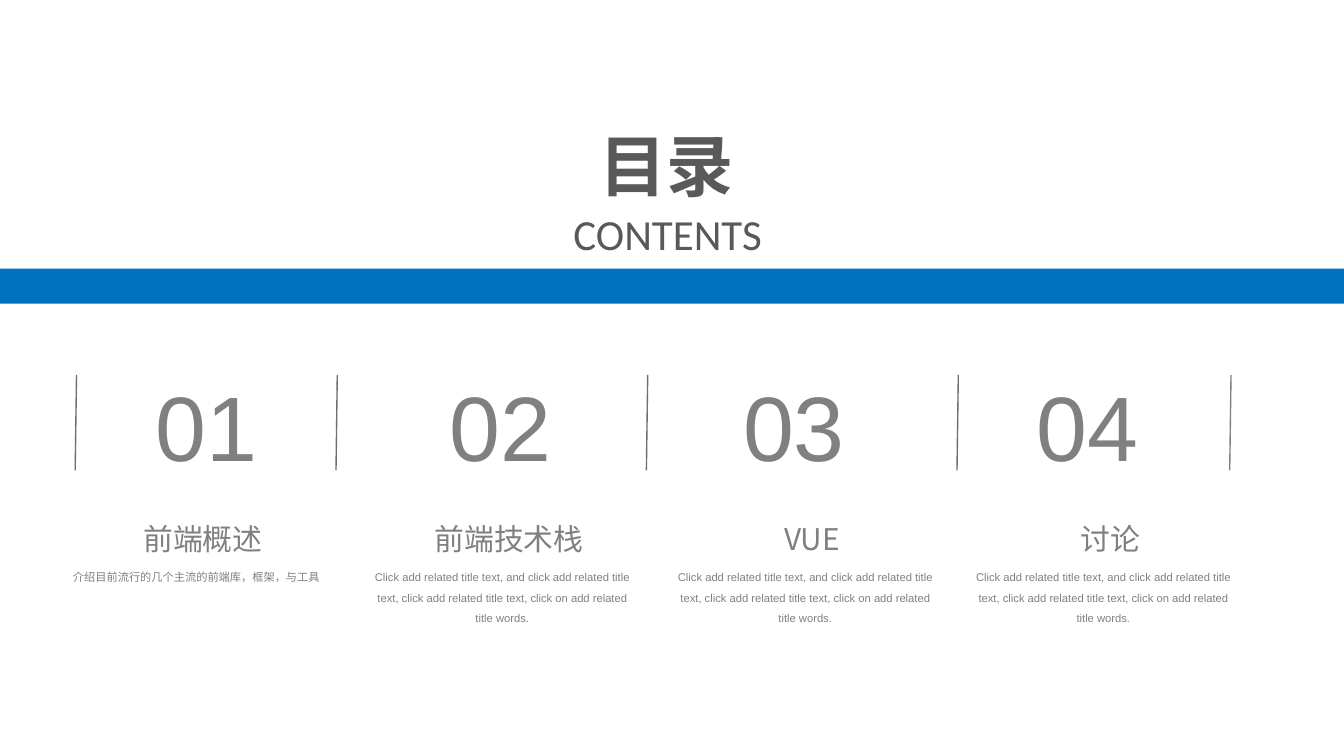
"""Build a contents slide with four numbered sections."""
from lxml.etree import SubElement
from pptx import Presentation
from pptx.dml.color import RGBColor
from pptx.enum.shapes import MSO_CONNECTOR, MSO_SHAPE
from pptx.enum.text import MSO_ANCHOR, MSO_AUTO_SIZE, PP_ALIGN
from pptx.oxml.ns import qn
from pptx.util import Pt

BLUE = RGBColor(0x00, 0x70, 0xC0)
DARK = RGBColor(0x59, 0x59, 0x59)
GRAY = RGBColor(0x80, 0x80, 0x80)
RULE = RGBColor(0x6E, 0x6E, 0x6E)
LATIN, HAN = "Arial", "Noto Sans CJK SC"

FILLER = ("Click add related title text, and click add related title text, "
          "click add related title text, click on add related title words.")
SECTIONS = [
    ("前端概述", "介绍目前流行的几个主流的前端库，框架，与工具", 31),
    ("前端技术栈", FILLER, 195),
    ("VUE", FILLER, 357.3),
    ("讨论", FILLER, 517),
]
DIVIDERS = [(41, RULE), (180.7, RULE), (347, RULE), (513.4, RULE), (659.5, GRAY)]


def write_text(frame, text, size, font=LATIN, color=GRAY, bold=False,
               align=PP_ALIGN.CENTER, spacing=1.0, wrap=True):
    frame.word_wrap = wrap
    frame.auto_size = MSO_AUTO_SIZE.SHAPE_TO_FIT_TEXT
    frame.vertical_anchor = MSO_ANCHOR.TOP
    frame.margin_left = frame.margin_right = Pt(5.2)
    frame.margin_top = frame.margin_bottom = Pt(2.6)
    paragraph = frame.paragraphs[0]
    paragraph.alignment = align
    paragraph.line_spacing = spacing
    paragraph.space_before = Pt(0)
    run = paragraph.add_run()
    run.text = text
    run.font.size = Pt(size)
    run.font.name = font
    run.font.bold = bold
    run.font.color.rgb = color
    SubElement(run.font._element, qn("a:ea"), typeface=HAN)


class ContentsSlide:
    def __init__(self, deck):
        self.slide = deck.slides.add_slide(deck.slide_layouts[5])

    def title(self, text, left, top, width, height, **style):
        heading = self.slide.shapes.title
        heading.left, heading.top = Pt(left), Pt(top)
        heading.width, heading.height = Pt(width), Pt(height)
        write_text(heading.text_frame, text, **style)

    def text(self, text, left, top, width, height, **style):
        box = self.slide.shapes.add_textbox(Pt(left), Pt(top), Pt(width), Pt(height))
        write_text(box.text_frame, text, **style)

    def band(self, left, top, width, height, color):
        bar = self.slide.shapes.add_shape(
            MSO_SHAPE.RECTANGLE, Pt(left), Pt(top), Pt(width), Pt(height))
        bar.shadow.inherit = False
        bar.fill.solid()
        bar.fill.fore_color.rgb = color
        bar.line.fill.background()

    def divider(self, left, top, bottom, color):
        rule = self.slide.shapes.add_connector(
            MSO_CONNECTOR.STRAIGHT, Pt(left), Pt(top), Pt(left - 0.7), Pt(bottom))
        rule.line.color.rgb = color
        rule.line.width = Pt(0.75)
        SubElement(rule._element.spPr, qn("a:effectLst"))


def main():
    deck = Presentation()
    deck.slide_width, deck.slide_height = Pt(720), Pt(405)
    contents = ContentsSlide(deck)

    contents.title("目录", 316, 64, 83, 49, size=36, font=HAN, color=DARK,
                   bold=True, align=PP_ALIGN.LEFT, wrap=False)
    contents.text("CONTENTS", 287.3, 108.7, 141, 32.4, size=23, font="Calibri", color=DARK)
    contents.band(0, 144, 720, 18.7, BLUE)

    for left, color in DIVIDERS:
        contents.divider(left, 200.9, 252, color)

    for index, (topic, detail, left) in enumerate(SECTIONS):
        contents.text(f"{index + 1:02}", 70.5 + 157.4 * index, 195.8, 80, 64.8, size=49)
        contents.text(topic, left, 276.5, 155.5, 24.5, size=16, font=HAN)
        contents.text(detail, left - 2.6, 299.5, 153.4, 36.7, size=6, spacing=1.5)

    deck.save("out.pptx")


if __name__ == "__main__":
    main()
